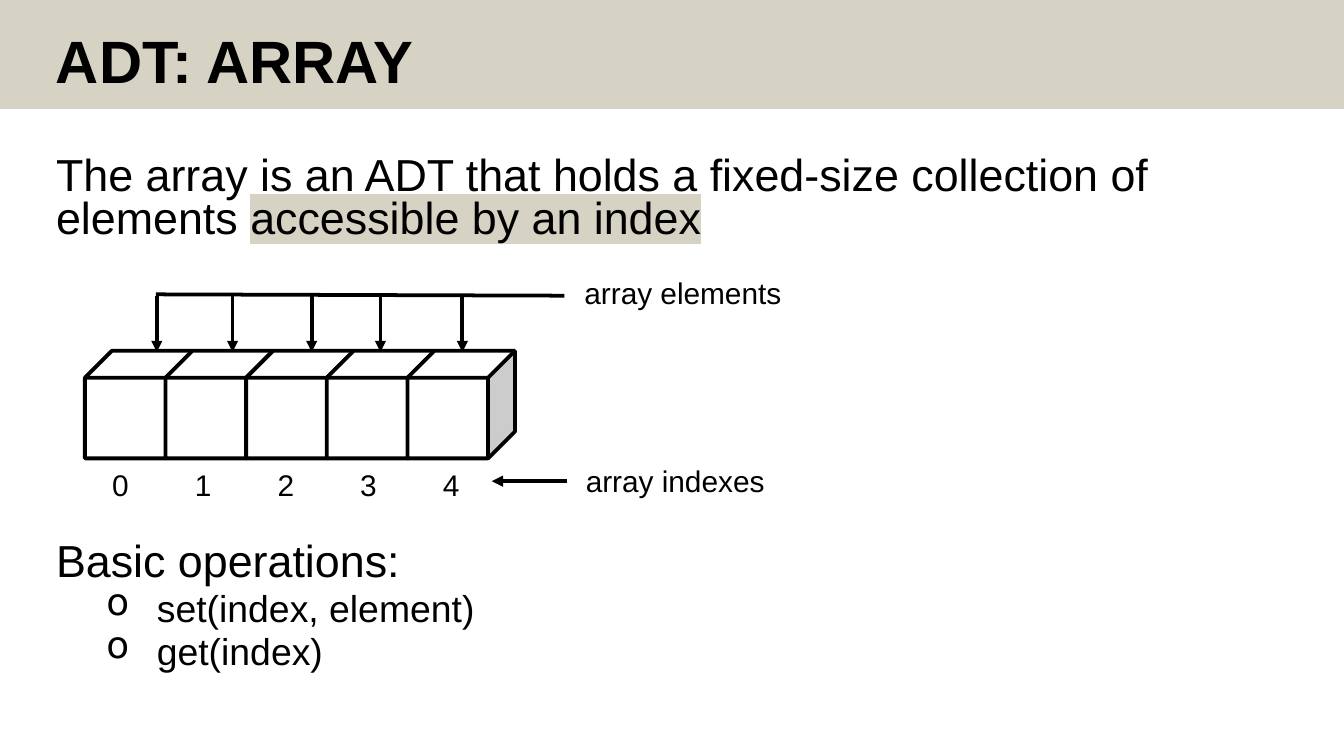
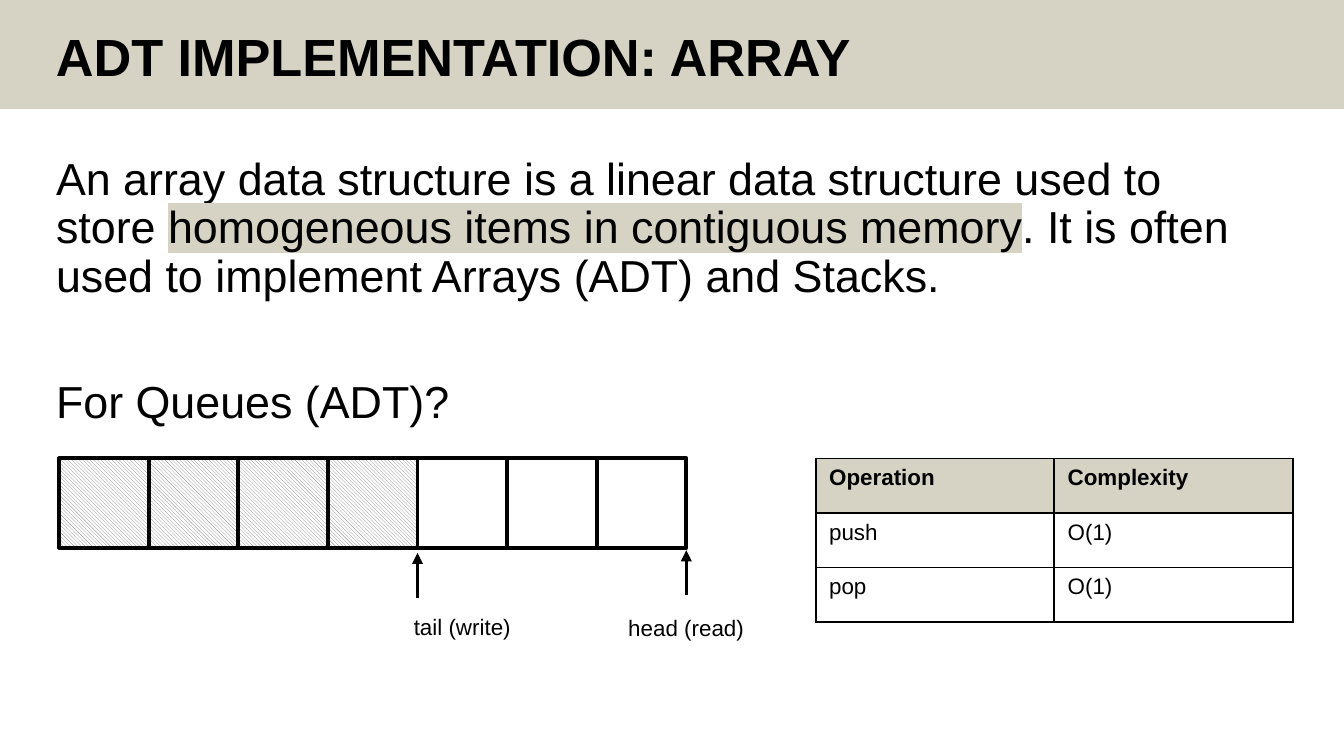
import dataclasses

import pptx
import pptx.dml.color
import pptx.enum.dml
import pptx.enum.shapes
import pptx.enum.text
import pptx.oxml
import pptx.oxml.ns
import pptx.util

Pt = pptx.util.Pt
RGB = pptx.dml.color.RGBColor
SHAPE = pptx.enum.shapes.MSO_SHAPE
NS = pptx.oxml.ns.nsdecls("a")


@dataclasses.dataclass(frozen=True)
class Theme:
    font: str = "Arial"
    ink: RGB = RGB(0, 0, 0)
    paper: RGB = RGB(255, 255, 255)
    hatch: RGB = RGB(128, 128, 128)
    accent: RGB = RGB(0xD6, 0xD2, 0xC4)
    body: int = 24
    bullet: int = 20
    label: int = 16
    small: int = 12
    line: float = 2


theme = Theme()


def write(tf, text, size=theme.body, bold=False, spacing=None, before=0,
          bullet=None, tab_step=None, marked=False, append=False):
    """Write text into the first paragraph, or append it to the last one.

    A paragraph that already has text is followed by a new one unless append is set.
    """
    p = tf.paragraphs[-1]
    if p.runs and not append:
        p = tf.add_paragraph()
    if not append:
        p.space_before = Pt(before)
        if spacing:
            p.line_spacing = spacing
        pPr = p._p.get_or_add_pPr()
        if bullet:
            pPr.set("marL", str(Pt(54)))
            pPr.set("indent", str(Pt(-27)))
            pPr.append(pptx.oxml.parse_xml(f'<a:buChar {NS} char="{bullet}"/>'))
        if tab_step:
            stops = "".join(f'<a:tab pos="{Pt(tab_step * i)}" algn="l"/>'
                            for i in range(1, text.count("\t") + 1))
            pPr.append(pptx.oxml.parse_xml(f"<a:tabLst {NS}>{stops}</a:tabLst>"))
    r = p.add_run()
    r.text = text
    r.font.size = Pt(size)
    r.font.bold = bold
    r.font.color.rgb = theme.ink
    if marked:
        r._r.get_or_add_rPr().append(pptx.oxml.parse_xml(
            f'<a:highlight {NS}><a:srgbClr val="{theme.accent}"/></a:highlight>'))
    r.font.name = theme.font


def add_line(s, x1, y1, x2, y2, width=theme.line, arrow=True):
    c = s.shapes.add_connector(pptx.enum.shapes.MSO_CONNECTOR.STRAIGHT,
                               Pt(x1), Pt(y1), Pt(x2), Pt(y2))
    c.line.color.rgb = theme.ink
    c.line.width = Pt(width)
    if arrow:
        c.line._get_or_add_ln().append(
            pptx.oxml.parse_xml(f'<a:tailEnd {NS} type="triangle"/>'))
    c._element.spPr.append(pptx.oxml.parse_xml(f"<a:effectLst {NS}/>"))


prs = pptx.Presentation()
prs.slide_width, prs.slide_height = Pt(720), Pt(405)

# Shared frame: band, title and body box, then the loose labels of each slide
frames = [
    ("ADT: ARRAY", 32, theme.label,
     [("array elements", 306, 143.5, 122),
      ("array indexes", 306.7, 244.3, 112),
      ("0\t1\t2\t3\t4", 53, 246.4, 210)]),
    ("ADT IMPLEMENTATION: ARRAY", 28, theme.small,
     [("head (read)", 329.5, 325.6, 77),
      ("tail (write)", 214.6, 324.8, 67)]),
]
slides, bodies = [], []
for title, title_size, label_size, labels in frames:
    s = prs.slides.add_slide(prs.slide_layouts[6])
    band = s.shapes.add_shape(SHAPE.RECTANGLE, 0, 0, prs.slide_width, Pt(58.3))
    band.shadow.inherit = False
    band.fill.solid()
    band.fill.fore_color.rgb = theme.accent
    band.line.fill.background()

    frame_boxes = []
    for top, width, height in ((11.5, 554, 38), (78.5, 658, 300)):
        tf = s.shapes.add_textbox(Pt(22.5), Pt(top), Pt(width), Pt(height)).text_frame
        tf.word_wrap = True
        tf.margin_left, tf.margin_top = Pt(7.5), Pt(5.5)
        frame_boxes.append(tf)
    write(frame_boxes[0], title, size=title_size, bold=True, spacing=0.9)

    for text, left, top, width in labels:
        tf = s.shapes.add_textbox(Pt(left), Pt(top), Pt(width),
                                  Pt(label_size * 1.2 + 7.2)).text_frame
        tf.word_wrap = False
        write(tf, text, size=label_size, tab_step=44.3)
    slides.append(s)
    bodies.append(frame_boxes[1])

# Slide 1: the array as an abstract data type
s, tf = slides[0], bodies[0]
write(tf, "The array is an ADT that holds a fixed-size collection of elements ", spacing=0.8)
write(tf, "accessible by an index", marked=True, append=True)
write(tf, "Basic operations:", spacing=0.8, before=161)
for operation in ("set(index, element)", "get(index)"):
    write(tf, operation, size=theme.bullet, spacing=0.8, before=3.8, bullet="o")

for i in range(5):
    cube = s.shapes.add_shape(SHAPE.CUBE, Pt(45.5 + 43.2 * i), Pt(188), Pt(57.6), Pt(57.6))
    cube.shadow.inherit = False
    cube.fill.solid()
    cube.fill.fore_color.rgb = theme.paper
    cube.line.color.rgb = theme.ink
    cube.line.width = Pt(theme.line)

add_line(s, 83.5, 157.7, 302.4, 158.4, arrow=False)
for x in (84, 124.6, 167, 203.8, 247.7):
    add_line(s, x, 158.4, x, 188.6)
add_line(s, 303.8, 257.8, 263.5, 257.8)

# Slide 2: the array as a data structure
s, tf = slides[1], bodies[1]
write(tf, "An array data structure is a linear data structure used to store ", spacing=0.9)
write(tf, "homogeneous items in contiguous memory", marked=True, append=True)
write(tf, ". It is often used to implement Arrays (ADT) and Stacks.", append=True)
write(tf, "For Queues (ADT)?", spacing=0.9, before=41.5)

cells, used, cell_size = 7, 4, 48
for i in range(cells):
    slot = s.shapes.add_shape(SHAPE.RECTANGLE, Pt(31.7 + cell_size * i), Pt(245.5),
                              Pt(cell_size), Pt(cell_size))
    slot.shadow.inherit = False
    if i < used:
        slot.fill.patterned()
        slot.fill.pattern = pptx.enum.dml.MSO_PATTERN.DARK_DOWNWARD_DIAGONAL
        slot.fill.fore_color.rgb = theme.hatch
        slot.fill.back_color.rgb = theme.paper
    else:
        slot.fill.background()
    slot.line.color.rgb = theme.ink
    slot.line.width = Pt(theme.line)

for boundary, bottom in ((used, 320.4), (cells, 319)):
    x = 31.7 + cell_size * boundary
    add_line(s, x, bottom, x, bottom - 24.2, width=1.5)

rows = [("Operation", "Complexity"), ("push", "O(1)"), ("pop", "O(1)")]
table = s.shapes.add_table(len(rows), 2, Pt(437), Pt(245.7), Pt(255.6), Pt(87.6)).table
table.first_row = table.horz_banding = False
for row, texts in enumerate(rows):
    for col, text in enumerate(texts):
        cell = table.cell(row, col)
        if row == 0:
            cell.fill.solid()
            cell.fill.fore_color.rgb = theme.accent
        else:
            cell.fill.background()
        write(cell.text_frame, text, size=theme.small, bold=row == 0)
        tcPr = cell._tc.get_or_add_tcPr()
        for i, side in enumerate(("lnL", "lnR", "lnT", "lnB")):
            tcPr.insert(i, pptx.oxml.parse_xml(
                f'<a:{side} {NS} w="{Pt(1)}"><a:solidFill>'
                f'<a:srgbClr val="{theme.ink}"/></a:solidFill></a:{side}>'))

prs.save("out.pptx")
